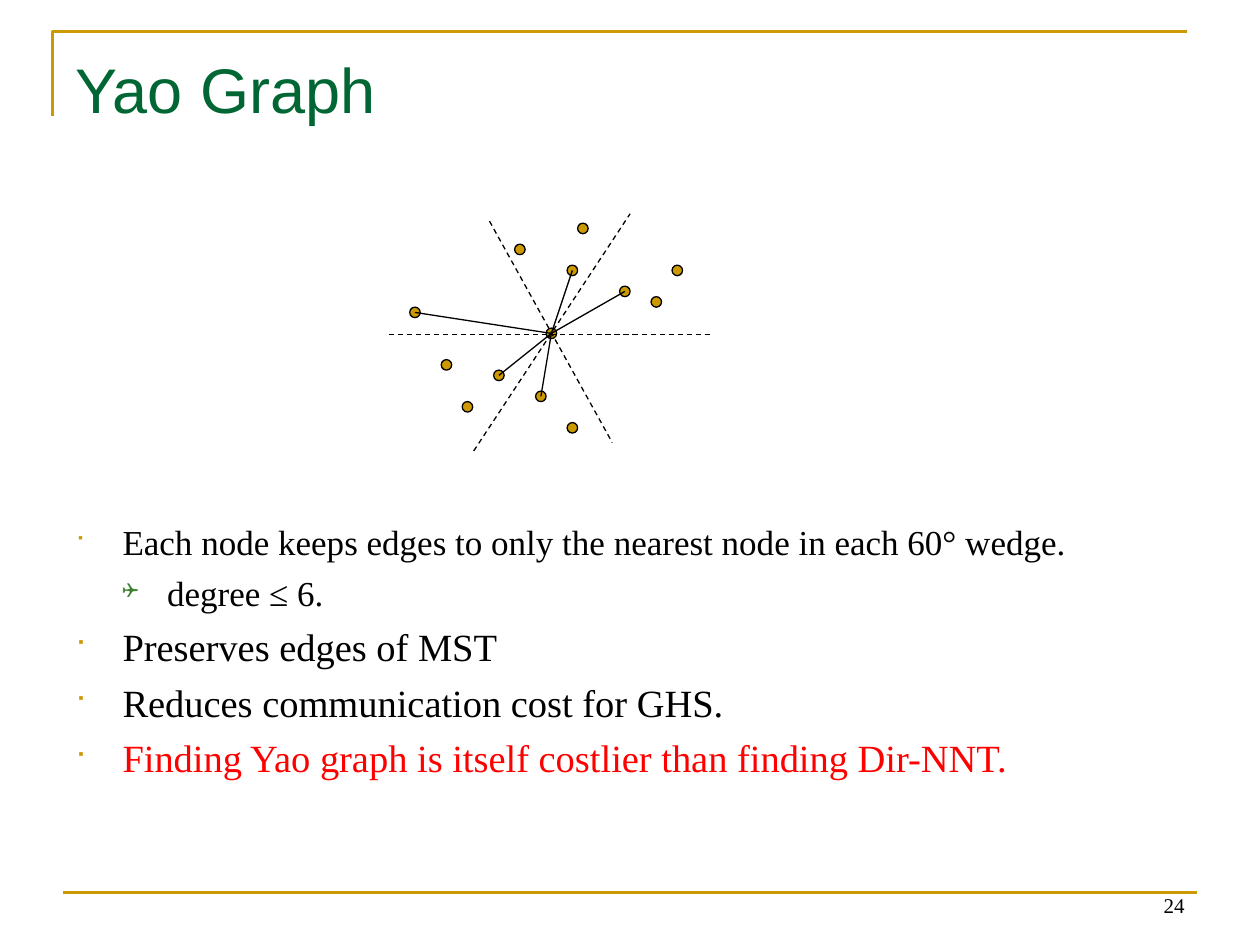
import lxml.etree
import pptx
import pptx.dml.color
import pptx.enum.dml
import pptx.enum.shapes
import pptx.enum.text
import pptx.oxml.ns
import pptx.util

Cm = pptx.util.Cm
Pt = pptx.util.Pt
COLORS = {"gold": "CC9900", "title": "006633", "text": "000000",
          "alert": "FF0000", "check": "3B812F"}
SERIF = "Times New Roman"
HUB = (13, 10)
NEAREST = [(15, 4), (20, 6), (0, 8), (8, 14), (12, 16)]
OTHERS = [(23, 7), (15, 19), (16, 0), (10, 2), (3, 13), (5, 17), (25, 4)]
RAYS = [(-2, 10.6, 28.9, 10.6), (7.6, -0.2, 19.3, 20.9), (6.1, 21.7, 21, -0.9)]
POINTS = [
    ("Each node keeps edges to only the nearest node in each 60° wedge.", 0, 20, "text"),
    ("degree ≤ 6.", 1, 20, "text"),
    ("Preserves edges of MST", 0, 22, "text"),
    ("Reduces communication cost for GHS.", 0, 22, "text"),
    ("Finding Yao graph is itself costlier than finding Dir-NNT.", 0, 22, "alert"),
]
BULLETS = [("■", "gold", 65, 0.95, -0.95), ("❑", "check", 60, 1.85, -0.91)]


def rgb(name):
    """Return the named palette colour."""
    return pptx.dml.color.RGBColor.from_string(COLORS[name])


def sub(parent, tag, **attrs):
    """Append a DrawingML element to its parent."""
    return lxml.etree.SubElement(parent, pptx.oxml.ns.qn(tag), attrs)


def add_line(shapes, x1, y1, x2, y2, color="text", width=0.75, dashed=False):
    """Draw a straight line between two points in centimetres."""
    s = shapes.add_connector(pptx.enum.shapes.MSO_CONNECTOR.STRAIGHT,
                             Cm(x1), Cm(y1), Cm(x2), Cm(y2))
    s.line.color.rgb = rgb(color)
    s.line.width = Pt(width)
    if dashed:
        s.line.dash_style = pptx.enum.dml.MSO_LINE.DASH
    sub(s._element.spPr, "a:effectLst")


def set_frame(sp, x, y, w, h, anchor="TOP", inset=0.13):
    """Place a text shape and return its prepared text frame."""
    sp.left, sp.top, sp.width, sp.height = Cm(x), Cm(y), Cm(w), Cm(h)
    tf = sp.text_frame
    tf.word_wrap = True
    tf.auto_size = pptx.enum.text.MSO_AUTO_SIZE.NONE
    tf.vertical_anchor = pptx.enum.text.MSO_ANCHOR[anchor]
    tf.margin_left = tf.margin_right = Cm(0.25)
    tf.margin_top, tf.margin_bottom = Cm(inset), Cm(0.13)
    return tf


def set_font(p, name, size, color):
    """Set the font of a whole paragraph."""
    p.font.name, p.font.size = name, Pt(size)
    p.font.color.rgb = rgb(color)


def add_frame(slide, x, y, w, h):
    """Draw the corner rule at the top and the rule at the foot."""
    fb = slide.shapes.build_freeform(Cm(x), Cm(y + 1.7))
    fb.add_line_segments([(Cm(x), Cm(y)), (Cm(x + w), Cm(y))], close=False)
    s = fb.convert_to_shape()
    s.shadow.inherit = False
    s.fill.background()
    s.line.color.rgb = rgb("gold")
    s.line.width = Pt(1.5)
    add_line(slide.shapes, x + 0.21, y + h, x + w + 0.21, y + h, "gold", 1.5)


def add_title(slide, x, y, w, h):
    """Fill the title placeholder."""
    tf = set_frame(slide.shapes.title, x, y, w, h, inset=0.25)
    p = tf.paragraphs[0]
    p.text = "Yao Graph"
    p.alignment = pptx.enum.text.PP_ALIGN.LEFT
    set_font(p, "Arial", 36, "title")


def add_graph(slide, x, y, w):
    """Draw the nodes, wedge borders and kept edges on a grid 26 nodes wide."""
    u = w / 26
    shapes = slide.shapes.add_group_shape().shapes
    for col, row in [HUB, *NEAREST, *OTHERS]:
        s = shapes.add_shape(pptx.enum.shapes.MSO_SHAPE.OVAL,
                             Cm(x + col * u), Cm(y + row * u), Cm(u), Cm(u))
        s.shadow.inherit = False
        s.fill.solid()
        s.fill.fore_color.rgb = rgb("gold")
        s.line.color.rgb = rgb("text")
        s.line.width = Pt(0.75)
    for x1, y1, x2, y2 in RAYS:
        add_line(shapes, x + x1 * u, y + y1 * u, x + x2 * u, y + y2 * u, dashed=True)
    for col, row in NEAREST:
        add_line(shapes, x + (HUB[0] + 0.5) * u, y + (HUB[1] + 0.5) * u,
                 x + (col + 0.5) * u, y + (row + 0.5) * u)


def add_points(slide, x, y, w, h):
    """Fill the body placeholder with the bulleted list."""
    tf = set_frame(slide.placeholders[1], x, y, w, h)
    for i, (text, level, size, color) in enumerate(POINTS):
        p = tf.paragraphs[0] if i == 0 else tf.add_paragraph()
        p.text, p.level = text, level
        char, tint, scale, margin, indent = BULLETS[level]
        pPr = p._p.get_or_add_pPr()
        pPr.set("marL", str(Cm(margin)))
        pPr.set("indent", str(Cm(indent)))
        sub(sub(pPr, "a:buClr"), "a:srgbClr", val=COLORS[tint])
        sub(pPr, "a:buSzPct", val=str(scale * 1000))
        sub(pPr, "a:buFont", typeface="Wingdings")
        sub(pPr, "a:buChar", char=char)
        p.space_before = Pt(size / 4 if i else 0)
        set_font(p, SERIF, size, color)


def add_number(slide, x, y, w, h):
    """Write the page number at the foot."""
    sp = slide.shapes.add_textbox(Cm(x), Cm(y), Cm(w), Cm(h))
    p = set_frame(sp, x, y, w, h, "BOTTOM").paragraphs[0]
    p.text = "24"
    p.alignment = pptx.enum.text.PP_ALIGN.RIGHT
    set_font(p, SERIF, 12, "text")


def main():
    """Build the slide and save it."""
    prs = pptx.Presentation()
    prs.slide_width, prs.slide_height = Cm(25.4), Cm(19.05)
    slide = prs.slides.add_slide(prs.slide_layouts[1])
    add_frame(slide, 1.06, 0.64, 22.86, 17.35)
    add_title(slide, 1.27, 0.76, 22.86, 2.41)
    add_points(slide, 1.27, 10.36, 22.86, 6.15)
    add_graph(slide, 8.26, 4.5, 5.5)
    add_number(slide, 18.2, 17.36, 5.93, 1.27)
    prs.save("out.pptx")


if __name__ == "__main__":
    main()
